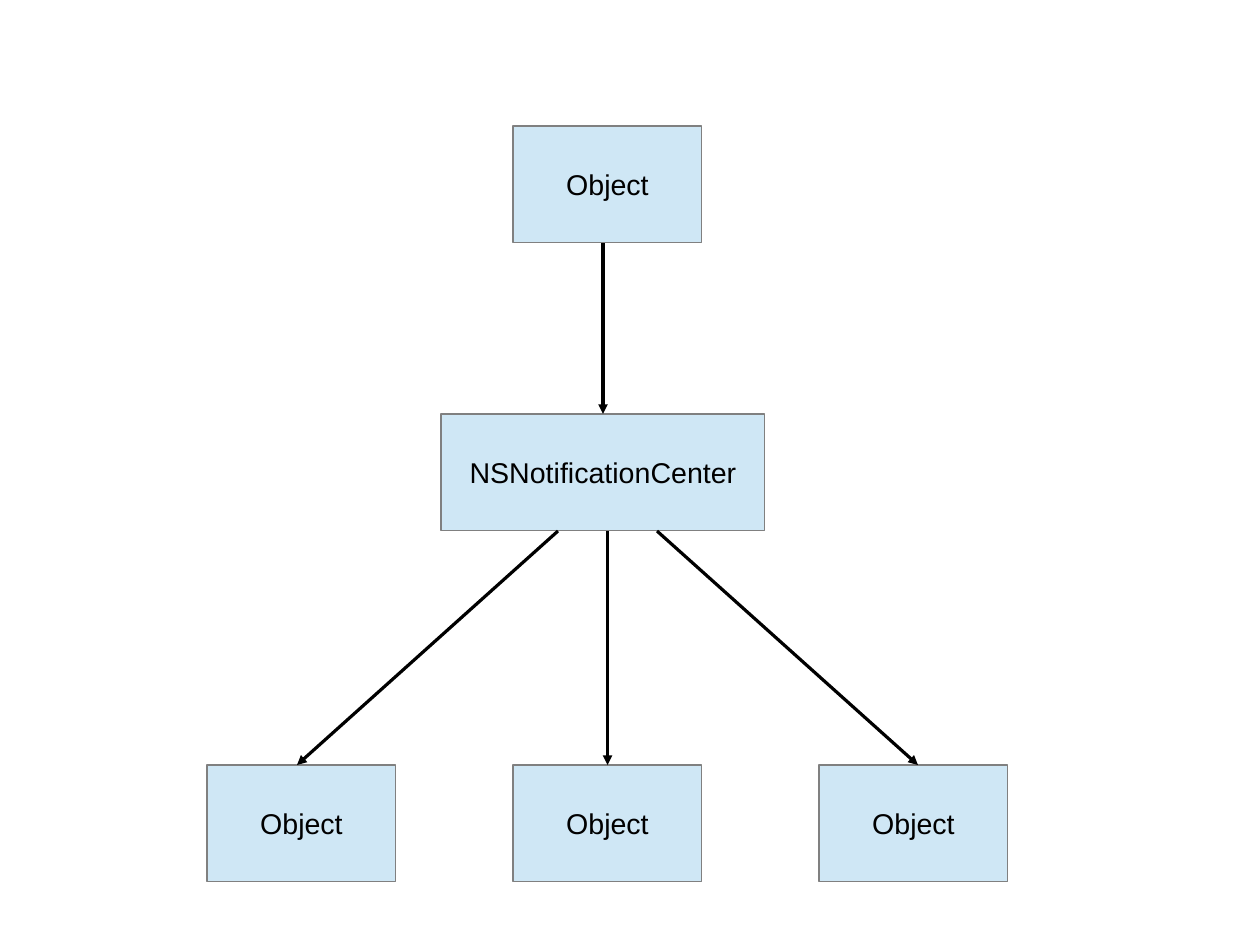
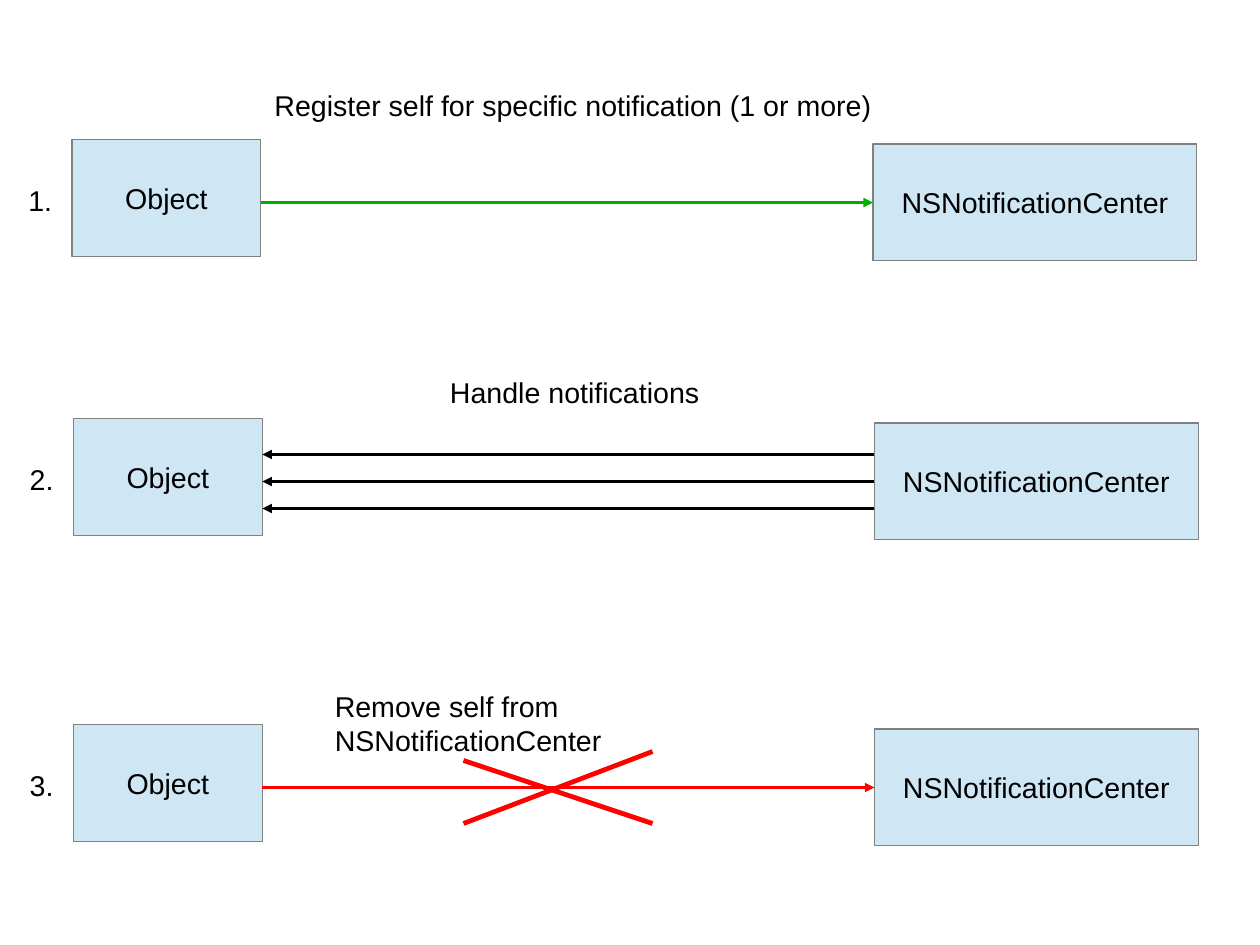
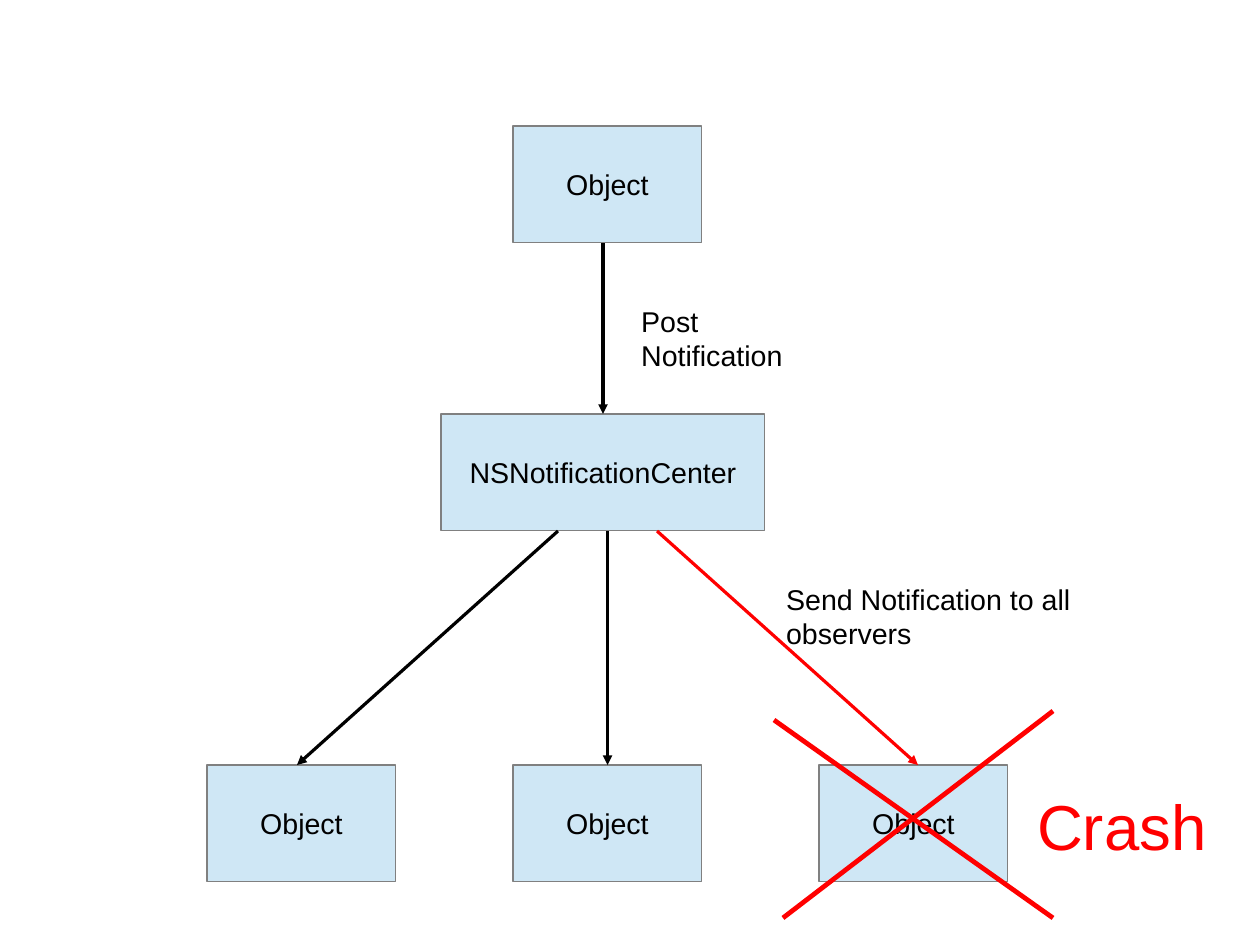
"""Build three diagrams of objects talking through a notification center."""
from pptx import Presentation
from pptx.dml.color import RGBColor
from pptx.enum.shapes import MSO_CONNECTOR, MSO_SHAPE
from pptx.enum.text import MSO_ANCHOR, MSO_AUTO_SIZE, PP_ALIGN
from pptx.oxml.ns import qn
from pptx.util import Cm, Pt
from lxml import etree

STRAIGHT = MSO_CONNECTOR.STRAIGHT
RECTANGLE = MSO_SHAPE.RECTANGLE
MIDDLE = MSO_ANCHOR.MIDDLE
FIT = MSO_AUTO_SIZE.SHAPE_TO_FIT_TEXT
LEFT, CENTER = PP_ALIGN.LEFT, PP_ALIGN.CENTER

FONT = "Arial"
BLACK, GRAY, PALE_BLUE = "000000", "808080", "CFE7F5"
RED, GREEN = "FF0000", "00AE00"

OBJECT, HUB = "Object", "NSNotificationCenter"
WIDTHS = {OBJECT: 4.2, HUB: 7.2}
BOX_HEIGHT = 2.6
LABEL_HEIGHT = 0.97

SENDER_LEFT, SENDER_TOP = 11.4, 2.8
HUB_LEFT, HUB_TOP = 9.8, 9.2
OBSERVER_LEFT, OBSERVER_TOP, OBSERVER_STEP = 4.6, 17, 6.8
FAN = [(12.4, 6.6), (13.5, 13.5), (14.6, 20.4)]

ROW_HUB_SHIFT = 17.8
ROWS = [
    {"number": "1.", "left": 1.6, "top": 3.1, "caption": "Register self for specific notification (1 or more)",
     "caption_at": (5.85, 1.82, 13.77), "color": GREEN, "arrows": [1.4], "to_hub": True},
    {"number": "2.", "left": 1.63, "top": 9.3, "caption": "Handle notifications",
     "caption_at": (9.75, 8.2, 6.05), "color": BLACK, "arrows": [0.8, 1.4, 2], "to_hub": False},
    {"number": "3.", "left": 1.63, "top": 16.1, "caption": "Remove self from NSNotificationCenter",
     "caption_at": (7.19, 15.19, 11.58), "color": RED, "arrows": [1.4], "to_hub": True},
]
REMOVE_CROSS = [((10.3, 16.9), (14.5, 18.3)), ((14.5, 16.7), (10.3, 18.3))]
CRASH_CROSS = [((17.2, 16), (23.4, 20.4)), ((23.4, 15.8), (17.4, 20.4))]


def rgb(color):
    return RGBColor.from_string(color)


def write(shape, text, size=18, color=BLACK, align=LEFT):
    para = shape.text_frame.paragraphs[0]
    para.alignment = align
    span = para.add_run()
    span.text = text
    span.font.name, span.font.size = FONT, Pt(size)
    span.font.color.rgb = rgb(color)


def add_box(page, text, left, top):
    box = page.shapes.add_shape(RECTANGLE, Cm(left), Cm(top), Cm(WIDTHS[text]), Cm(BOX_HEIGHT))
    box.shadow.inherit = False
    box.fill.solid()
    box.fill.fore_color.rgb = rgb(PALE_BLUE)
    box.line.color.rgb = rgb(GRAY)
    box.line.width = 0
    box.text_frame.vertical_anchor = MIDDLE
    write(box, text, align=CENTER)


def add_label(page, text, left, top, width, height=LABEL_HEIGHT, **style):
    label = page.shapes.add_textbox(Cm(left), Cm(top), Cm(width), Cm(height))
    label.text_frame.word_wrap = False
    label.text_frame.auto_size = FIT
    write(label, text, **style)


def add_line(page, start, end, color=BLACK, width=0, arrow=True):
    line = page.shapes.add_connector(STRAIGHT, *(Cm(value) for value in (*start, *end)))
    line.line.color.rgb = rgb(color)
    line.line.width = Pt(width)
    if arrow:
        etree.SubElement(line.line._get_or_add_ln(), qn("a:tailEnd"), type="triangle")
    etree.SubElement(line._element.spPr, qn("a:effectLst"))


def add_cross(page, strokes):
    for start, end in strokes:
        add_line(page, start, end, RED, width=3, arrow=False)


def add_broadcast(deck, last_color=BLACK):
    page = deck.slides.add_slide(deck.slide_layouts[6])
    add_box(page, OBJECT, SENDER_LEFT, SENDER_TOP)
    add_box(page, HUB, HUB_LEFT, HUB_TOP)
    hub_middle = HUB_LEFT + WIDTHS[HUB] / 2
    add_line(page, (hub_middle, SENDER_TOP + BOX_HEIGHT), (hub_middle, HUB_TOP))
    colors = [BLACK, BLACK, last_color]
    for index, ((start, end), color) in enumerate(zip(FAN, colors)):
        add_box(page, OBJECT, OBSERVER_LEFT + index * OBSERVER_STEP, OBSERVER_TOP)
        add_line(page, (start, HUB_TOP + BOX_HEIGHT), (end, OBSERVER_TOP), color)
    return page


def add_lifecycle(deck):
    page = deck.slides.add_slide(deck.slide_layouts[6])
    for row in ROWS:
        left, top = row["left"], row["top"]
        hub_left = left + ROW_HUB_SHIFT
        add_box(page, OBJECT, left, top)
        add_box(page, HUB, hub_left, top + 0.1)
        add_label(page, row["caption"], *row["caption_at"])
        add_label(page, row["number"], left - 1.22, top + 0.85, 1.04)
        for offset in row["arrows"]:
            ends = [(left + WIDTHS[OBJECT], top + offset), (hub_left, top + offset)]
            start, end = ends if row["to_hub"] else reversed(ends)
            add_line(page, start, end, row["color"])
    add_cross(page, REMOVE_CROSS)


def add_crash(deck):
    page = add_broadcast(deck, last_color=RED)
    add_label(page, "Post Notification", 14, 6.63, 5.08)
    add_label(page, "Send Notification to all observers", 17.22, 12.8, 9.78)
    add_cross(page, CRASH_CROSS)
    add_label(page, "Crash", 22.8, 17.37, 4.27, 1.83, size=40, color=RED)


def main():
    deck = Presentation()
    deck.slide_width, deck.slide_height = Cm(28), Cm(21)
    add_broadcast(deck)
    add_lifecycle(deck)
    add_crash(deck)
    deck.save("out.pptx")


if __name__ == "__main__":
    main()
